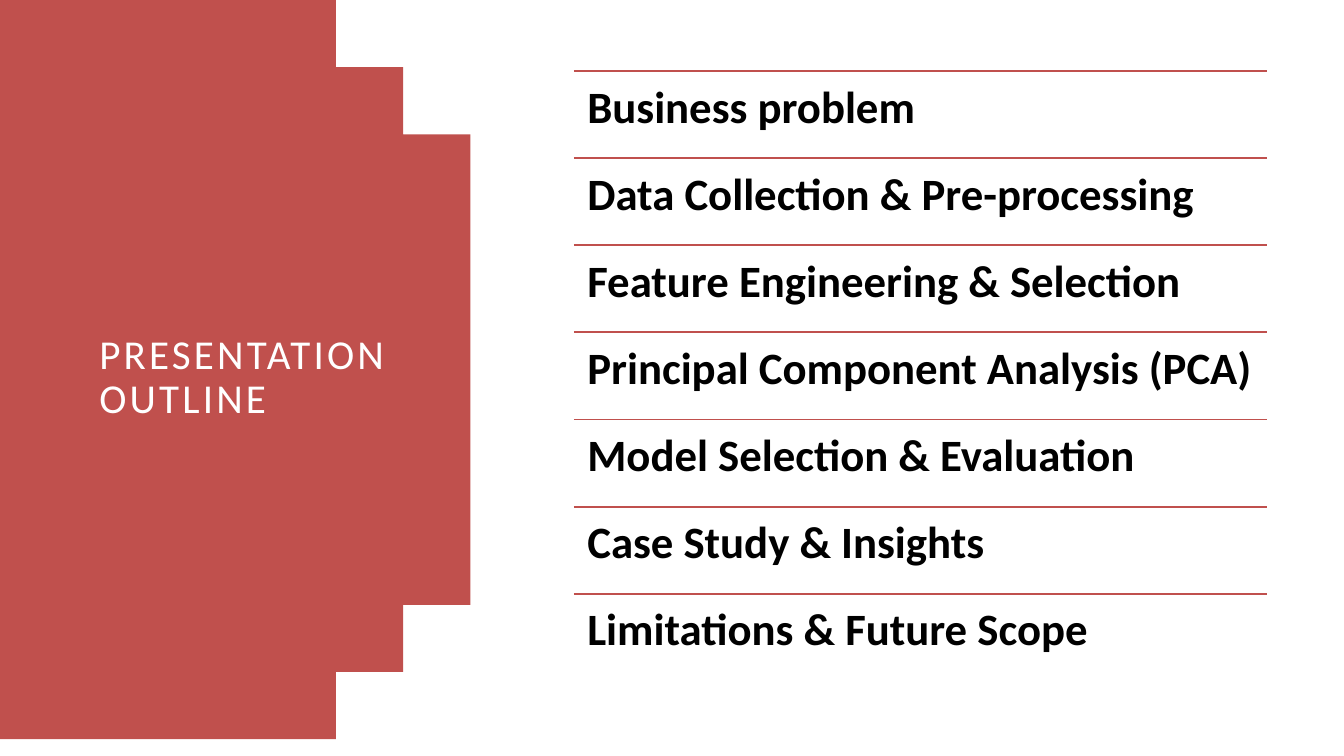
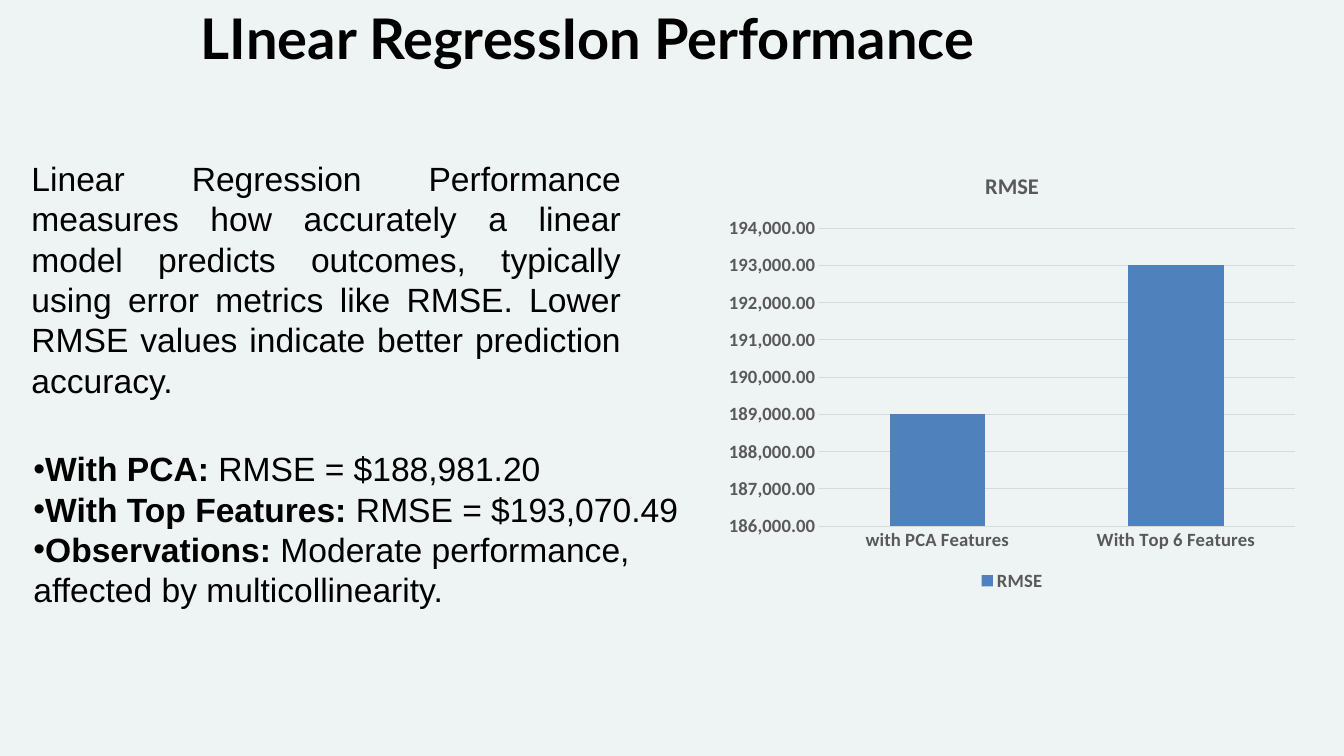
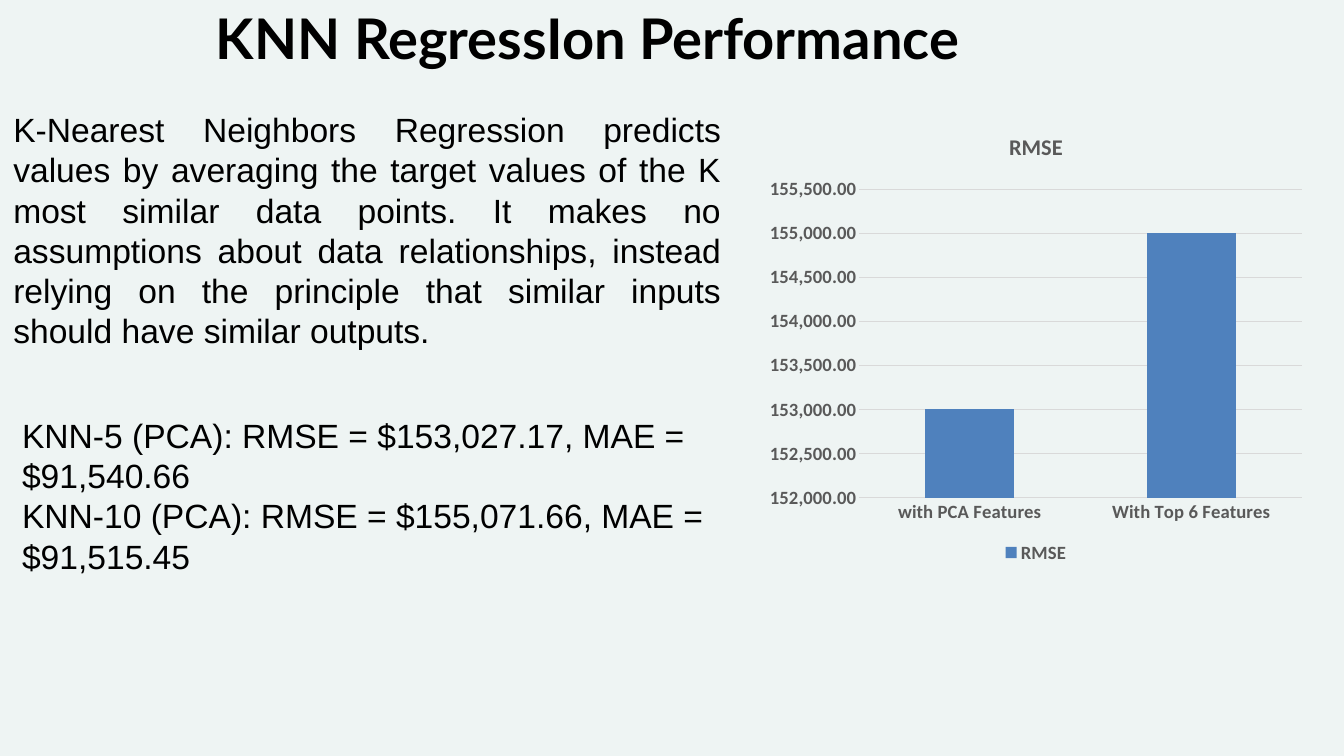
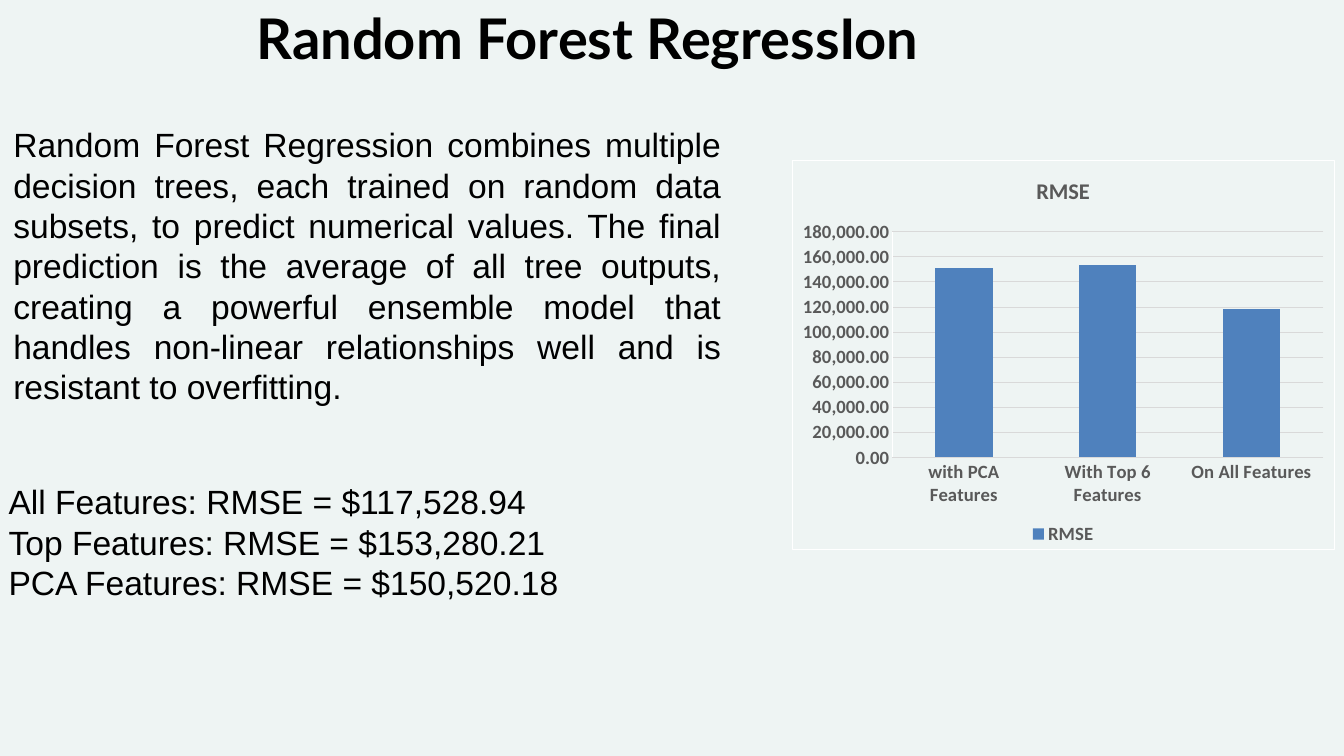
"""Build a regression presentation: one outline slide and three model result slides."""
from math import asin, cos, sin

from pptx import Presentation
from pptx.chart.data import CategoryChartData
from pptx.dml.color import RGBColor
from pptx.enum.chart import XL_CHART_TYPE, XL_LEGEND_POSITION, XL_TICK_MARK
from pptx.enum.shapes import MSO_CONNECTOR
from pptx.enum.text import MSO_ANCHOR, MSO_AUTO_SIZE, PP_ALIGN
from pptx.oxml import parse_xml
from pptx.oxml.ns import nsdecls, qn
from pptx.util import Inches, Pt

COLORS = {
    "white": "FFFFFF", "black": "000000", "mist": "EEF4F3", "red": "C0504D",
    "blue": "4F81BD", "grey": "595959", "rule": "D9D9D9",
}
SLIDE_W, SLIDE_H = 20, 11.25

OUTLINE_TITLE = "PRESENTATION OUTLINE"
OUTLINE = [
    "Business problem",
    "Data Collection & Pre-processing",
    "Feature Engineering & Selection",
    "Principal Component Analysis (PCA)",
    "Model Selection & Evaluation",
    "Case Study & Insights",
    "Limitations & Future Scope",
]
OUTLINE_BOX = (8.54, 1.06, 10.32, 9.07)
DISC_RIGHT, DISC_CUT = 7.4, 4.24

PCA, TOP, ALL = "with PCA Features", "With Top 6 Features", "On All Features"
MODELS = [
    {
        "title": "LInear RegressIon Performance",
        "about": "Linear Regression Performance measures how accurately a linear model "
                 "predicts outcomes, typically using error metrics like RMSE. Lower RMSE "
                 "values indicate better prediction accuracy. ",
        "about_box": (0.37, 2.3, 8.97, 3.74),
        "results": [
            ("With PCA:", " RMSE = $188,981.20"),
            ("With Top Features:", " RMSE = $193,070.49"),
            ("Observations:", " Moderate performance, affected by multicollinearity."),
        ],
        "results_box": (0.4, 6.62, 10.6, 2.55),
        "rmse": {PCA: 189000, TOP: 193000},
        "scale": (186000, 194000, 1000),
        "chart_box": (10.67, 2.3, 8.78, 6.57),
        "frame": None,
    },
    {
        "title": "KNN RegressIon Performance",
        "about": "K-Nearest Neighbors Regression predicts values by averaging the target "
                 "values of the K most similar data points. It makes no assumptions about "
                 "data relationships, instead relying on the principle that similar inputs "
                 "should have similar outputs.",
        "about_box": (0.1, 1.57, 10.73, 3.76),
        "results": [
            ("", "KNN-5 (PCA): RMSE = $153,027.17, MAE = $91,540.66"),
            ("", "KNN-10 (PCA): RMSE = $155,071.66, MAE = $91,515.45"),
        ],
        "results_box": (0.23, 6.12, 10.6, 2.52),
        "rmse": {PCA: 153000, TOP: 155000},
        "scale": (152000, 155500, 500),
        "chart_box": (11.29, 1.71, 8.25, 6.74),
        "frame": None,
    },
    {
        "title": "Random Forest RegressIon",
        "about": "Random Forest Regression combines multiple decision trees, each trained "
                 "on random data subsets, to predict numerical values. The final prediction "
                 "is the average of all tree outputs, creating a powerful ensemble model "
                 "that handles non-linear relationships well and is resistant to "
                 "overfitting.",
        "about_box": (0.1, 1.8, 10.73, 4.95),
        "results": [
            ("", "All Features: RMSE = $117,528.94"),
            ("", "Top Features: RMSE = $153,280.21"),
            ("", "PCA Features: RMSE = $150,520.18"),
        ],
        "results_box": (0.03, 7.11, 10.6, 1.92),
        "rmse": {PCA: 151000, TOP: 153000, ALL: 118000},
        "scale": (0, 180000, 20000),
        "chart_box": (11.78, 2.38, 8.08, 5.8),
        "frame": "white",
    },
]
TITLE_BOX = (2.08, 0, 13.33, 1.11)


def rgb(name):
    return RGBColor.from_string(COLORS[name])


def style(font, size, color="black", name="Calibri", bold=False):
    font.size, font.name, font.bold = Pt(size), name, bold
    font.color.rgb = rgb(color)


def add_slide(prs, color):
    s = prs.slides.add_slide(prs.slide_layouts[6])
    s.background.fill.solid()
    s.background.fill.fore_color.rgb = rgb(color)
    return s


def add_box(shapes, box, grow=False):
    tf = shapes.add_textbox(*map(Inches, box)).text_frame
    tf.word_wrap = True
    if grow:
        tf.auto_size = MSO_AUTO_SIZE.SHAPE_TO_FIT_TEXT
    return tf


def add_run(p, text, size, **look):
    r = p.add_run()
    r.text = text
    style(r.font, size, **look)
    return r


def add_bullet(p):
    pPr = p._p.get_or_add_pPr()
    for tag, key, value in (("buFont", "typeface", "Arial"), ("buChar", "char", "•")):
        pPr.append(parse_xml(f'<a:{tag} {nsdecls("a")} {key}="{value}"/>'))


def add_disc(s):
    """Draw the part of a large circle that shows at the left edge."""
    mid, depth, steps = SLIDE_H / 2, DISC_RIGHT - DISC_CUT, 60
    radius = (depth ** 2 + mid ** 2) / (2 * depth)
    half = asin(mid / radius)
    angles = [half * (2 * i / steps - 1) for i in range(steps + 1)]
    arc = [(DISC_RIGHT - radius + radius * cos(a), mid + radius * sin(a)) for a in angles]
    builder = s.shapes.build_freeform(0, 0, scale=Inches(1))
    builder.add_line_segments(arc + [(0, SLIDE_H)], close=True)
    sp = builder.convert_to_shape()
    sp.shadow.inherit = False
    sp.fill.solid()
    sp.fill.fore_color.rgb = rgb("red")
    sp.line.fill.background()


def add_rule(shapes, x, y, width):
    line = shapes.add_connector(
        MSO_CONNECTOR.STRAIGHT, Inches(x), Inches(y), Inches(x + width), Inches(y))
    line.line.color.rgb = rgb("red")
    line.line.width = Pt(2)
    line._element.spPr.append(parse_xml(f'<a:effectLst {nsdecls("a")}/>'))


def build_outline(prs):
    s = add_slide(prs, "white")
    add_disc(s)
    tf = add_box(s.shapes, (1.38, 1.06, 4.84, 9.14))
    tf.vertical_anchor = MSO_ANCHOR.MIDDLE
    p = tf.paragraphs[0]
    p.line_spacing, p.space_after = 0.9, Pt(6)
    r = add_run(p, OUTLINE_TITLE, 44, color="white")
    r.font._element.set("spc", "340")

    x, top, width, height = OUTLINE_BOX
    row_h = height / len(OUTLINE)
    group = s.shapes.add_group_shape()
    for i, topic in enumerate(OUTLINE):
        y = top + i * row_h
        add_rule(group.shapes, x, y, width)
        tf = add_box(group.shapes, (x, y, width, row_h))
        tf.margin_left = tf.margin_right = tf.margin_top = tf.margin_bottom = Inches(0.2)
        p = tf.paragraphs[0]
        p.line_spacing, p.space_after = 0.9, Pt(17)
        add_run(p, topic, 48, bold=True)


def frame_chart(chart, color):
    line = "<a:noFill/>"
    if color:
        line = f'<a:solidFill><a:srgbClr val="{COLORS[color]}"/></a:solidFill>'
    chart.element.find(qn("c:txPr")).addprevious(parse_xml(
        f'<c:spPr {nsdecls("c", "a")}><a:noFill/><a:ln w="9525">{line}</a:ln></c:spPr>'))


def add_rmse_chart(s, model):
    data = CategoryChartData(number_format="#,##0.00")
    data.categories = list(model["rmse"])
    data.add_series("RMSE", list(model["rmse"].values()))
    chart = s.shapes.add_chart(
        XL_CHART_TYPE.COLUMN_CLUSTERED, *map(Inches, model["chart_box"]), data).chart
    style(chart.font, 20, bold=True)
    frame_chart(chart, model["frame"])

    chart.has_title = True
    add_run(chart.chart_title.text_frame.paragraphs[0], "RMSE", 24, color="grey", bold=True)
    chart.chart_title.include_in_layout = False
    chart.has_legend = True
    chart.legend.position = XL_LEGEND_POSITION.BOTTOM
    chart.legend.include_in_layout = False
    style(chart.legend.font, 20, "grey", bold=True)

    plot = chart.plots[0]
    plot.gap_width, plot.vary_by_categories = 150, False
    bars = plot.series[0].format.fill
    bars.solid()
    bars.fore_color.rgb = rgb("blue")

    cats, vals = chart.category_axis, chart.value_axis
    for axis, color in ((cats, "rule"), (vals, model["frame"])):
        axis.major_tick_mark = axis.minor_tick_mark = XL_TICK_MARK.NONE
        style(axis.tick_labels.font, 20, "grey", bold=True)
        if color:
            axis.format.line.color.rgb = rgb(color)
            axis.format.line.width = Pt(0.75)
        else:
            axis.format.line.fill.background()
    vals.minimum_scale, vals.maximum_scale, vals.major_unit = model["scale"]
    vals.tick_labels.number_format = "#,##0.00"
    vals.tick_labels.number_format_is_linked = False
    grid = vals.major_gridlines.format.line
    grid.color.rgb, grid.width = rgb("rule"), Pt(0.75)


def build_model(prs, model):
    s = add_slide(prs, "mist")
    tf = add_box(s.shapes, model["results_box"], grow=True)
    for i, (label, result) in enumerate(model["results"]):
        p = tf.add_paragraph() if i else tf.paragraphs[0]
        if label:
            add_bullet(p)
            add_run(p, label, 36, name="Arial", bold=True)
        add_run(p, result, 36, name="Arial")

    p = add_box(s.shapes, model["about_box"], grow=True).paragraphs[0]
    p.alignment = PP_ALIGN.JUSTIFY
    add_run(p, model["about"], 36, name="Arial")

    p = add_box(s.shapes, TITLE_BOX, grow=True).paragraphs[0]
    p.alignment = PP_ALIGN.CENTER
    add_run(p, model["title"], 60, name="Lato", bold=True)
    add_rmse_chart(s, model)


def main():
    prs = Presentation()
    prs.slide_width, prs.slide_height = Inches(SLIDE_W), Inches(SLIDE_H)
    build_outline(prs)
    for model in MODELS:
        build_model(prs, model)
    prs.save("out.pptx")


if __name__ == "__main__":
    main()
